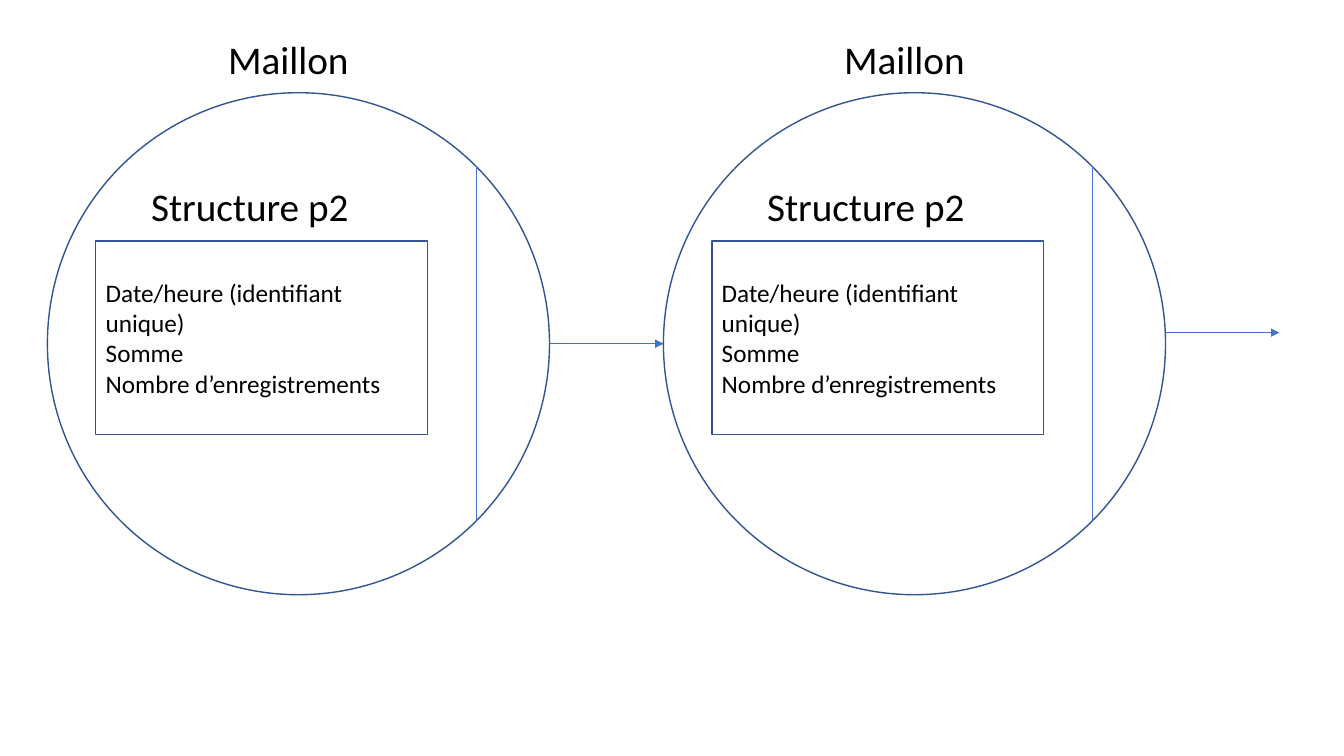
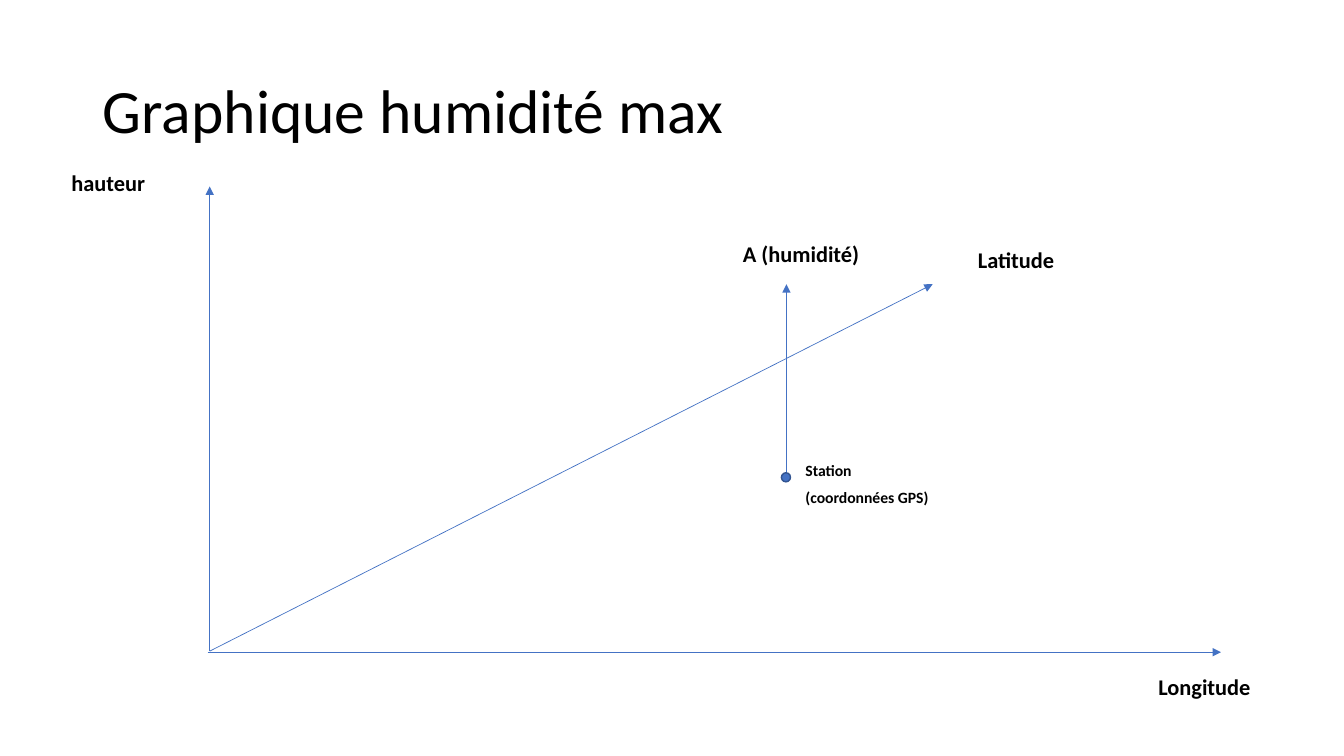
from lxml import etree
from pptx import Presentation
from pptx import util as u
from pptx.dml.color import RGBColor
from pptx.enum import shapes, text
from pptx.oxml.ns import qn

FONT = "Calibri"
COLOURS = {"ink": "000000", "outline": "325491", "accent": "4472C4"}
RECORD_FIELDS = ["Date/heure (identifiant unique)", "Somme", "Nombre d’enregistrements"]
LINK_LEFT = 0.47
LINK_STEP = 6.11
LINK_SIZE = 4.98


def colour(name):
    return RGBColor.from_string(COLOURS[name])


def inches(*lengths):
    return [u.Inches(length) for length in lengths]


def write(shape, lines, size=16, bold=False, align=text.PP_ALIGN.LEFT,
          anchor=text.MSO_ANCHOR.TOP, spacing=0.9, before=10):
    """Fill a shape with one formatted paragraph per line."""
    frame = shape.text_frame
    frame.word_wrap = True
    frame.auto_size = text.MSO_AUTO_SIZE.NONE
    frame.vertical_anchor = anchor
    for index, line in enumerate(lines):
        para = frame.paragraphs[0] if index == 0 else frame.add_paragraph()
        para.alignment = align
        para.line_spacing = spacing
        para.space_before = u.Pt(before)
        span = para.add_run()
        span.text = line
        span.font.name = FONT
        span.font.size = u.Pt(size)
        span.font.bold = bold
        span.font.color.rgb = colour("ink")


def add_label(page, lines, left, top, width=1.45, **style):
    box = page.shapes.add_textbox(*inches(left, top, width, 0.57))
    write(box, lines, **style)


def add_outline(page, kind, left, top, width, height, fill=None):
    shape = page.shapes.add_shape(kind, *inches(left, top, width, height))
    shape.shadow.inherit = False
    if fill:
        shape.fill.solid()
        shape.fill.fore_color.rgb = colour(fill)
    else:
        shape.fill.background()
    shape.line.color.rgb = colour("outline")
    shape.line.width = u.Pt(1)
    return shape


def add_line(page, start, end, arrow=True):
    line = page.shapes.add_connector(shapes.MSO_CONNECTOR.STRAIGHT, *inches(*start, *end))
    line.line.color.rgb = colour("accent")
    line.line.width = u.Pt(0.5)
    properties = line._element.spPr
    if arrow:
        etree.SubElement(properties.find(qn("a:ln")), qn("a:tailEnd"), type="triangle")
    etree.SubElement(properties, qn("a:effectLst"))


def add_title(page, title):
    holder = page.shapes.title
    holder.left, holder.top, holder.width, holder.height = inches(0.92, 0.4, 11.5, 1.45)
    write(holder, [title], size=44, anchor=text.MSO_ANCHOR.MIDDLE, before=0)


def add_link(page, left):
    """Draw one link of the chain: record, captions, circle and divider."""
    record = add_outline(page, shapes.MSO_SHAPE.RECTANGLE, left + 0.48, 2.39, 3.29, 1.92)
    write(record, RECORD_FIELDS, size=18, anchor=text.MSO_ANCHOR.MIDDLE, spacing=1, before=0)
    add_label(page, ["Structure p2"], left + 0.93, 1.81, 2.18, size=28)
    add_outline(page, shapes.MSO_SHAPE.OVAL, left, 0.92, LINK_SIZE, LINK_SIZE)
    add_line(page, (left + 4.25, 1.65), (left + 4.25, 5.17), arrow=False)
    add_label(page, ["Maillon"], left + 1.3, 0.35, 2.18, size=28, align=text.PP_ALIGN.CENTER)


def build_chain(deck):
    page = deck.slides.add_slide(deck.slide_layouts[6])
    for index, arrow_top in enumerate([3.41, 3.3]):
        left = LINK_LEFT + index * LINK_STEP
        add_link(page, left)
        add_line(page, (left + LINK_SIZE, arrow_top), (left + LINK_STEP, arrow_top))


def build_humidity(deck):
    page = deck.slides.add_slide(deck.slide_layouts[5])
    add_title(page, "Graphique humidité max")

    # Axes
    origin = (2.08, 6.46)
    add_line(page, (2.06, 6.47), (12.11, 6.47))
    add_line(page, origin, (2.08, 1.85))
    add_line(page, origin, (9.25, 2.82))

    # Station and its measured value
    add_line(page, (7.8, 4.69), (7.8, 2.82))
    add_outline(page, shapes.MSO_SHAPE.OVAL, 7.75, 4.69, 0.09, 0.09, fill="accent")
    add_label(page, ["Station", "(coordonnées GPS)"], 7.89, 4.57,
              size=11.2, bold=True, spacing=0.7)

    # Axis and value names
    for name, left, top in [("Longitude", 11.39, 6.66), ("Latitude", 9.6, 2.42),
                            ("A (humidité)", 7.27, 2.36), ("hauteur", 0.61, 1.66)]:
        add_label(page, [name], left, top, bold=True)


def main():
    deck = Presentation()
    deck.slide_width, deck.slide_height = inches(13.33, 7.5)
    build_chain(deck)
    build_humidity(deck)
    deck.save("out.pptx")


if __name__ == "__main__":
    main()
